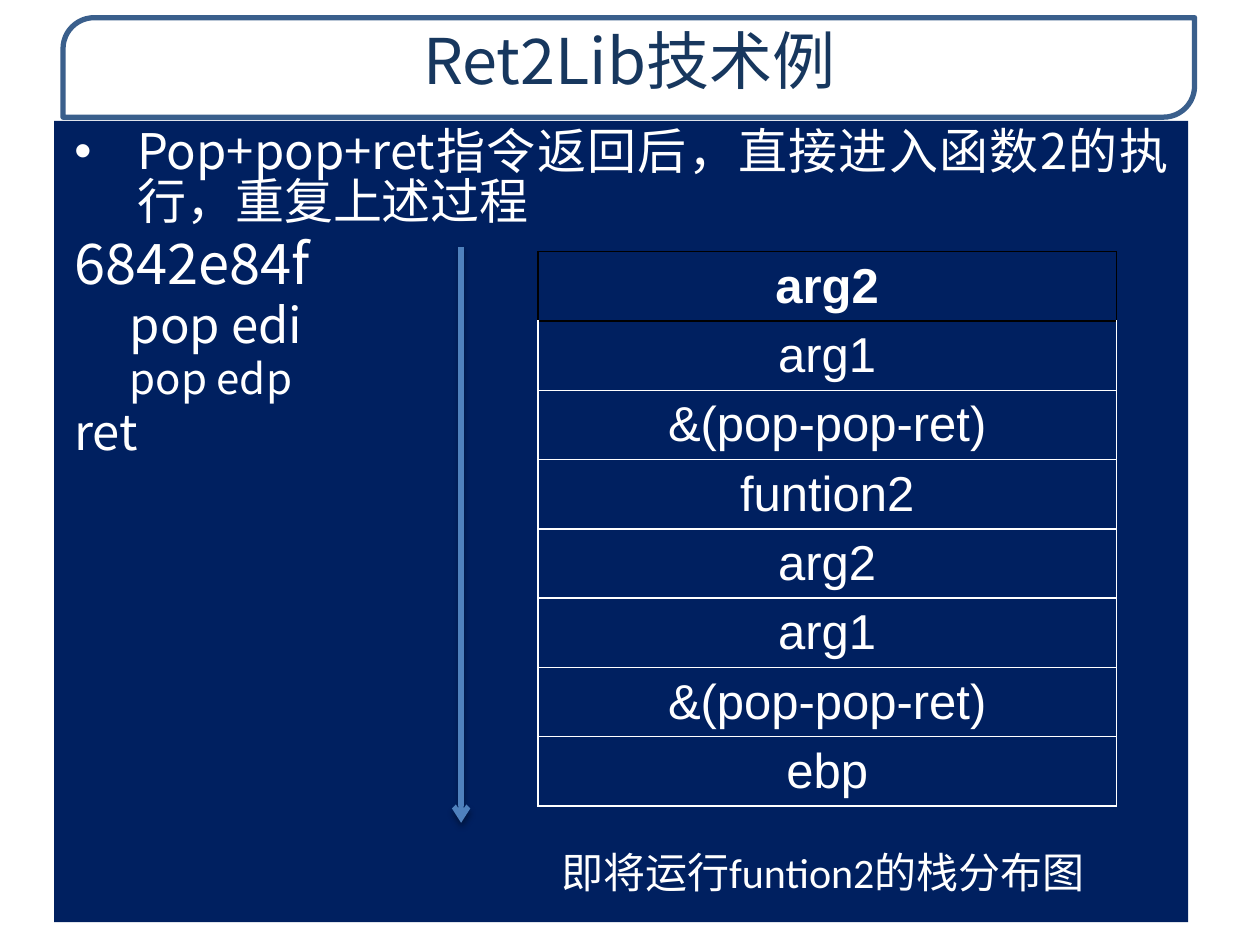
from dataclasses import dataclass

from lxml.etree import SubElement
from pptx import Presentation
from pptx.dml.color import RGBColor
from pptx.enum.shapes import MSO_CONNECTOR as Connector, MSO_SHAPE as Preset
from pptx.enum.text import MSO_ANCHOR as Anchor, PP_ALIGN as Align
from pptx.oxml.ns import qn
from pptx.util import Pt

COLORS = {
    "white": "FFFFFF", "black": "000000", "navy": "002060",
    "title": "17375E", "frame": "3A5F8C", "arrow": "4F81BD",
}
CJK_FONT = "Noto Sans CJK SC"
# Tightens the tall natural line height of the CJK font
CJK_SPACING = 0.85
ROW_HEIGHT = 38.5
STACK = ["arg2", "arg1", "&(pop-pop-ret)", "funtion2",
         "arg2", "arg1", "&(pop-pop-ret)", "ebp"]


@dataclass
class Box:
    left: float
    top: float
    width: float
    height: float

    def lengths(self) -> tuple:
        return Pt(self.left), Pt(self.top), Pt(self.width), Pt(self.height)


@dataclass
class Line:
    text: str
    size: float
    margin: float = 36
    bullet: bool = False


BODY_LINES = [
    Line("Pop+pop+ret指令返回后，直接进入函数2的执行，重复上述过程", 28, bullet=True),
    Line("6842e84f", 32),
    Line("pop edi", 28, margin=67.7),
    Line("pop edp", 24, margin=67.7),
    Line("ret", 28),
]


def rgb(name: str) -> RGBColor:
    return RGBColor.from_string(COLORS[name])


def add_element(parent, tag: str, **attributes):
    return SubElement(parent, qn(tag), attributes)


def add_text(paragraph, text: str, size: float, color: str = "white",
             font: str = CJK_FONT, bold: bool = False) -> None:
    run = paragraph.add_run()
    run.text = text
    run.font.size = Pt(size)
    run.font.name = font
    run.font.bold = bold
    run.font.color.rgb = rgb(color)
    add_element(run.font._element, "a:ea", typeface=CJK_FONT)


def add_panel(slide, preset, box: Box, fill: str):
    shape = slide.shapes.add_shape(preset, *box.lengths())
    shape.shadow.inherit = False
    shape.fill.solid()
    shape.fill.fore_color.rgb = rgb(fill)
    shape.line.fill.background()
    shape.text_frame.word_wrap = True
    return shape


def add_title(slide) -> None:
    frame = add_panel(slide, Preset.ROUND_2_DIAG_RECTANGLE,
                      Box(36, 10.1, 646.6, 56.9), "white")
    frame.adjustments[0] = 0.313
    frame.adjustments[1] = 0
    frame.line.color.rgb = rgb("frame")
    frame.line.width = Pt(3)
    fill_color = frame._element.spPr.find(qn("a:solidFill"))[0]
    add_element(fill_color, "a:alpha", val="85000")

    title = slide.shapes.add_textbox(*Box(36.7, 10.1, 645.8, 54.7).lengths())
    title.text_frame.word_wrap = True
    title.text_frame.vertical_anchor = Anchor.MIDDLE
    paragraph = title.text_frame.paragraphs[0]
    paragraph.alignment = Align.CENTER
    paragraph.line_spacing = CJK_SPACING
    add_text(paragraph, "Ret2Lib技术例", 36, "title")


def add_body(slide, lines: list[Line]) -> None:
    body = add_panel(slide, Preset.RECTANGLE, Box(31, 69.1, 648, 457.9), "navy")
    frame = body.text_frame
    frame.vertical_anchor = Anchor.TOP
    frame.margin_left = frame.margin_right = Pt(11.5)
    frame.margin_top, frame.margin_bottom = Pt(5), Pt(3.6)
    for index, line in enumerate(lines):
        paragraph = frame.add_paragraph() if index else frame.paragraphs[0]
        paragraph.alignment = Align.JUSTIFY
        paragraph.line_spacing = CJK_SPACING
        paragraph.space_before = Pt(round(0.16 * line.size, 1) if index else 0)
        properties = paragraph._p.get_or_add_pPr()
        properties.set("marL", str(Pt(line.margin)))
        properties.set("indent", str(Pt(-36)))
        if line.bullet:
            add_element(properties, "a:buFont", typeface="Arial")
            add_element(properties, "a:buChar", char="•")
        else:
            add_element(properties, "a:buNone")
        add_text(paragraph, line.text, line.size)


def set_borders(cell, color: str, top_color: str) -> None:
    properties = cell._tc.get_or_add_tcPr()
    sides = {"L": color, "R": color, "T": top_color, "B": color}
    for position, (side, name) in enumerate(sides.items()):
        border = add_element(properties, f"a:ln{side}", w=str(Pt(1)))
        fill = add_element(border, "a:solidFill")
        add_element(fill, "a:srgbClr", val=COLORS[name])
        # Borders come before the cell fill
        properties.insert(position, border)


def add_stack_table(slide, labels: list[str]) -> None:
    box = Box(307.4, 143.8, 330.5, ROW_HEIGHT * len(labels))
    table = slide.shapes.add_table(len(labels), 1, *box.lengths()).table
    table.horz_banding = False
    for index, label in enumerate(labels):
        table.rows[index].height = Pt(ROW_HEIGHT)
        cell = table.cell(index, 0)
        cell.fill.solid()
        cell.fill.fore_color.rgb = rgb("navy")
        cell.margin_top = cell.margin_bottom = Pt(3)
        cell.vertical_anchor = Anchor.MIDDLE
        set_borders(cell, "white" if index else "black",
                    "white" if index > 1 else "black")
        paragraph = cell.text_frame.paragraphs[0]
        paragraph.alignment = Align.CENTER
        add_text(paragraph, label, 28, font="Arial", bold=index == 0)


def add_arrow(slide) -> None:
    arrow = slide.shapes.add_connector(
        Connector.STRAIGHT, Pt(263.5), Pt(141.1), Pt(263.5), Pt(470.2))
    arrow.line.color.rgb = rgb("arrow")
    arrow.line.width = Pt(3)
    add_element(arrow.line._get_or_add_ln(), "a:tailEnd", type="arrow")
    effects = add_element(arrow._element.spPr, "a:effectLst")
    shadow = add_element(effects, "a:outerShdw", blurRad=str(Pt(3.1)),
                         dist=str(Pt(1.8)), dir="5400000", rotWithShape="0")
    shadow_color = add_element(shadow, "a:srgbClr", val=COLORS["black"])
    add_element(shadow_color, "a:alpha", val="35000")


def add_caption(slide) -> None:
    caption = add_panel(slide, Preset.RECTANGLE,
                        Box(297.4, 475.9, 345.6, 43.9), "navy")
    caption.text_frame.vertical_anchor = Anchor.MIDDLE
    paragraph = caption.text_frame.paragraphs[0]
    paragraph.alignment = Align.CENTER
    add_text(paragraph, "即将运行funtion2的栈分布图", 24, font="Calibri")


def main() -> None:
    presentation = Presentation()
    presentation.slide_width, presentation.slide_height = Pt(720), Pt(540)
    slide = presentation.slides.add_slide(presentation.slide_layouts[6])
    add_title(slide)
    add_body(slide, BODY_LINES)
    add_stack_table(slide, STACK)
    add_arrow(slide)
    add_caption(slide)
    presentation.save("out.pptx")


if __name__ == "__main__":
    main()
